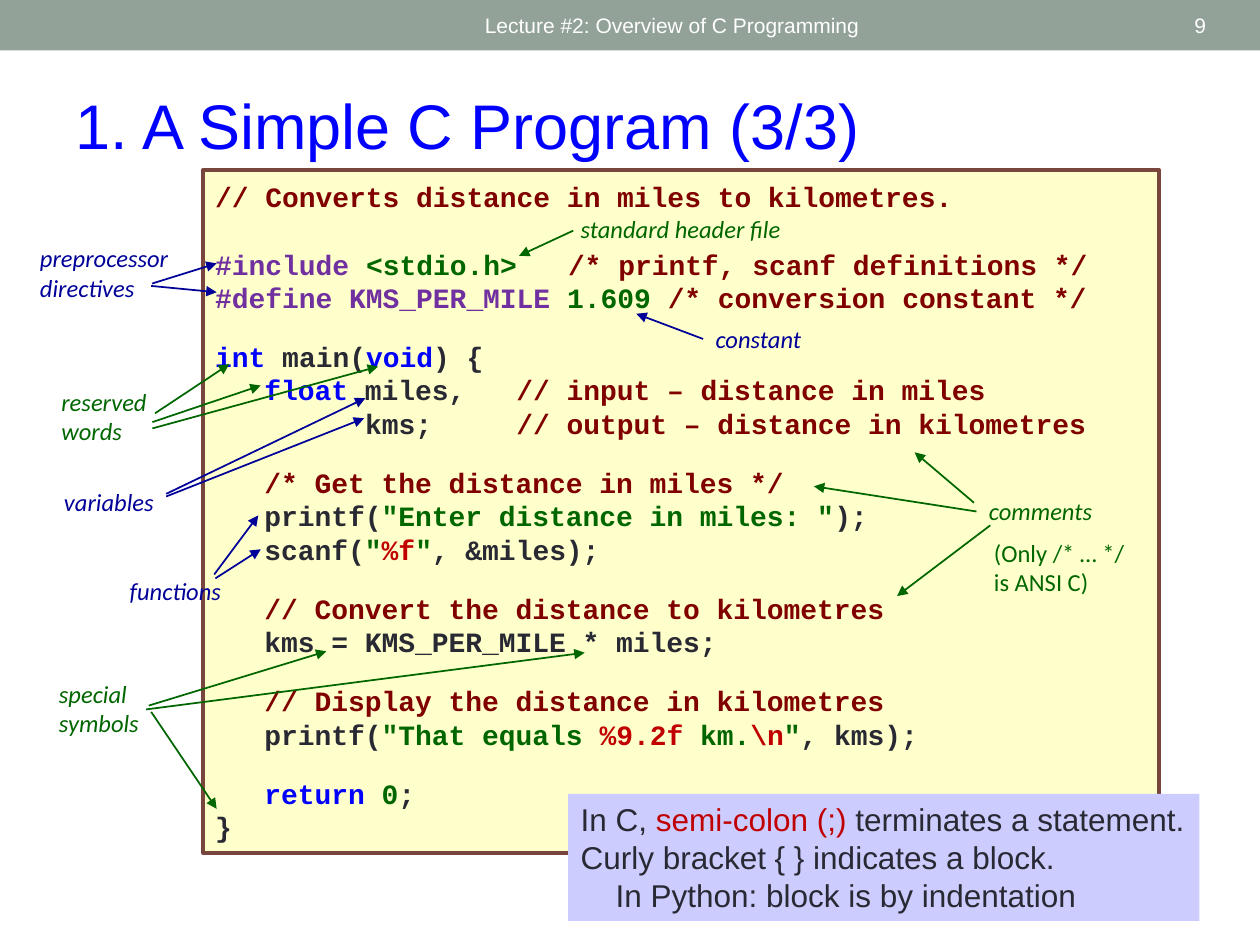
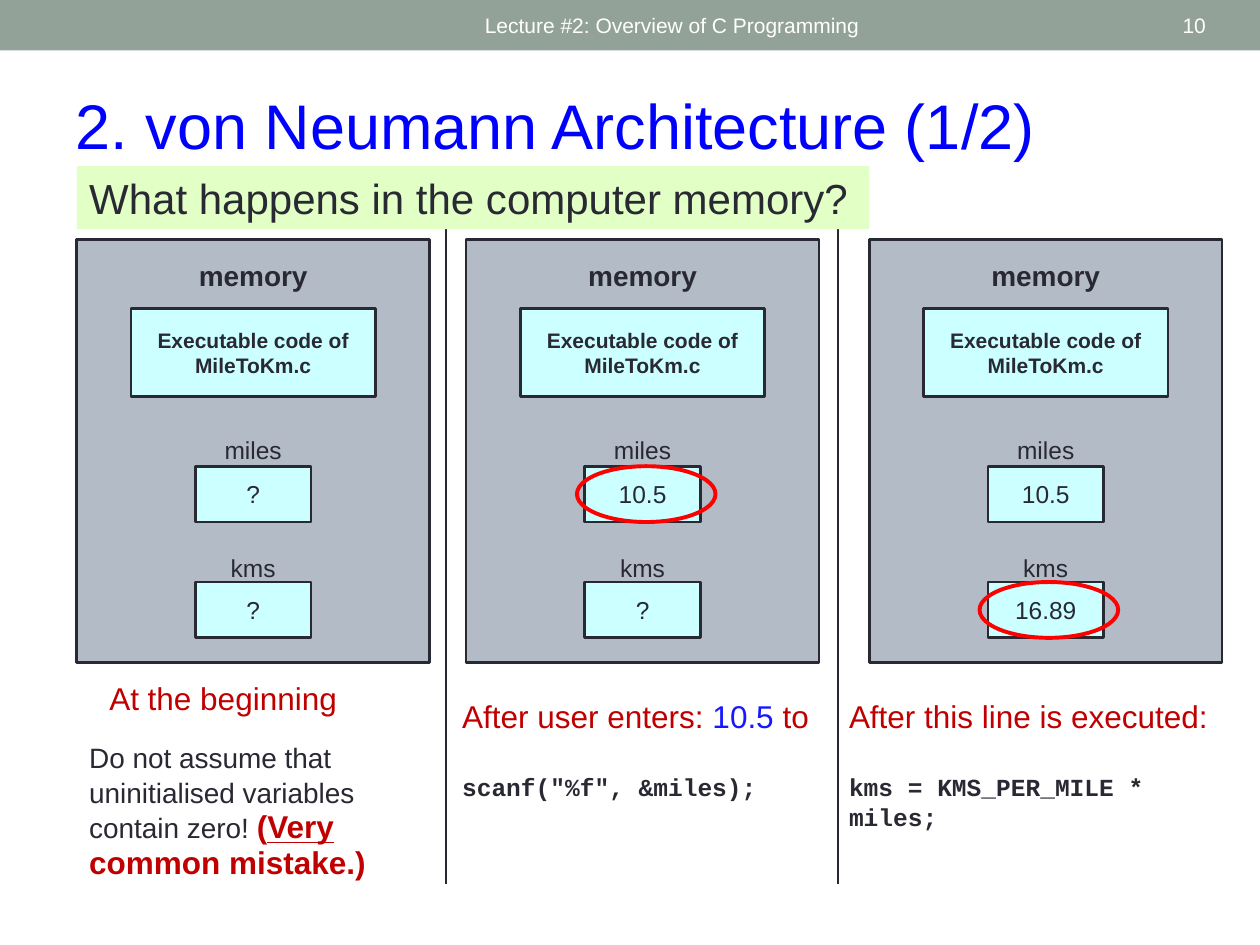
from lxml.etree import SubElement
from pptx import Presentation
from pptx.dml.color import RGBColor
from pptx.enum.shapes import MSO_CONNECTOR as Link, MSO_SHAPE as Form
from pptx.enum.text import MSO_ANCHOR as Anchor, MSO_AUTO_SIZE as Fit, PP_ALIGN as Align
from pptx.oxml.ns import qn
from pptx.util import Pt

# Shared colours and fonts
INK, WHITE, BAND = "292934", "FFFFFF", "93A299"
BLUE, NAVY, GREEN = "0000FF", "000099", "006600"
MAROON, RED, PURPLE = "800000", "C00000", "7030A0"
CYAN, GREY = "CCFFFF", "B3BBC6"
SANS, HAND, MONO = "Arial", "Calibri", "Courier New"
PITCH = 1.2  # line height as a multiple of the text size


def color(code):
    return RGBColor.from_string(code)


def write(box, paras, size, font=SANS, bold=False, italic=False,
          align=Align.LEFT, anchor=Anchor.TOP):
    """Fill a shape; each paragraph is a list of (text, colour) runs."""
    frame = box.text_frame
    frame.word_wrap = True
    frame.auto_size = Fit.NONE
    frame.vertical_anchor = anchor
    for i, runs in enumerate(paras):
        para = frame.add_paragraph() if i else frame.paragraphs[0]
        style(para, size, font, bold)
        para.font.italic = italic
        para.alignment = align
        for words, tint in runs:
            run = para.add_run()
            run.text = words
            run.font.color.rgb = color(tint)
    return frame.paragraphs


def style(para, size, font=SANS, bold=False):
    para.font.name, para.font.size, para.font.bold = font, Pt(size), bold
    para.line_spacing = Pt(size * PITCH)


def shape(slide, area, fill=None, line=None, width=1.5, form=Form.RECTANGLE):
    box = slide.shapes.add_shape(form, *map(Pt, area))
    box.shadow.inherit = False
    if fill:
        box.fill.solid()
        box.fill.fore_color.rgb = color(fill)
    else:
        box.fill.background()
    if line:
        box.line.color.rgb = color(line)
        box.line.width = Pt(width)
    else:
        box.line.fill.background()
    return box


def text(slide, area, paras, size, **look):
    box = slide.shapes.add_textbox(*map(Pt, area))
    return write(box, paras, size, **look)


def link(slide, ends, tint, arrow=False):
    wire = slide.shapes.add_connector(Link.STRAIGHT, *map(Pt, ends))
    wire.line.color.rgb = color(tint)
    wire.line.width = Pt(1)
    props = wire.line._get_or_add_ln()
    if arrow:
        SubElement(props, qn("a:tailEnd"), type="triangle")
    SubElement(props.getparent(), qn("a:effectLst"))


def indent(para, left):
    para._p.get_or_add_pPr().set("marL", str(Pt(left)))


def tabs(para, stops):
    props = para._p.get_or_add_pPr()
    group = SubElement(props, qn("a:tabLst"))
    for stop in stops:
        SubElement(group, qn("a:tab"), pos=str(Pt(stop)), algn="l")


def page(deck, title, number):
    """Start a slide with its band, footer, number and title."""
    slide = deck.slides.add_slide(deck.slide_layouts[5])
    shape(slide, (0, 0, 720, 28.8), BAND)
    text(slide, (270, 1.4, 324, 26), [[("Lecture #2: Overview of C Programming", WHITE)]],
         12, anchor=Anchor.MIDDLE)
    text(slide, (627.8, 1.4, 68.4, 26), [[(str(number), WHITE)]], 12,
         align=Align.RIGHT, anchor=Anchor.MIDDLE)
    head = slide.shapes.title
    head.left, head.top, head.width, head.height = map(Pt, (36, 46, 648, 51))
    write(head, [[(title, BLUE)]], 36)
    return slide


# Code listing: (gap before, as the size of a skipped line; runs)
CODE = [
    (0, [("// Converts distance in miles to kilometres.", MAROON)]),
    (16, [("#include ", PURPLE), ("<stdio.h>\t", GREEN),
          ("/* printf, scanf definitions */", MAROON)]),
    (0, [("#define KMS_PER_MILE ", PURPLE), ("1.609 ", GREEN),
         ("/* conversion constant */", MAROON)]),
    (12, [("int", BLUE), (" main(", INK), ("void", BLUE), (") {", INK)]),
    (0, [("\tfloat", BLUE), (" miles,\t", INK), ("// input – distance in miles", MAROON)]),
    (0, [("\t\tkms;\t", INK), ("// output – distance in kilometres", MAROON)]),
    (12, [("\t/* Get the distance in miles */", MAROON)]),
    (0, [("\tprintf(", INK), ('"Enter distance in miles: "', GREEN), (");", INK)]),
    (0, [("\tscanf(", INK), ('"', GREEN), ("%f", RED), ('"', GREEN), (", &miles);", INK)]),
    (12, [("\t// Convert the distance to kilometres", MAROON)]),
    (0, [("\tkms = KMS_PER_MILE * miles;", INK)]),
    (12, [("\t// Display the distance in kilometres", MAROON)]),
    (0, [("\tprintf(", INK), ('"That equals ', GREEN), ("%9.2f ", RED), ("km.", GREEN),
         ("\\n", RED), ('"', GREEN), (", kms);", INK)]),
    (12, [("\treturn ", BLUE), ("0", GREEN), (";", INK)]),
    (0, [("}", INK)]),
]

# Callouts: words, colour, (left, top, width, height), arrows
NOTES = [
    ("preprocessor directives", NAVY, (15.8, 135.4, 96.5, 41),
     [(87, 162, 123.8, 150.5), (86.4, 163.4, 123.8, 167)]),
    ("standard header file", GREEN, (324.7, 118.8, 137.5, 25),
     [(327.6, 131.8, 296.6, 146.2)]),
    ("comments", GREEN, (558, 280, 78, 25),
     [(556.6, 287.3, 522.7, 258.5), (558, 292.3, 465.1, 277.9),
      (565.9, 300.2, 512.6, 340.6)]),
    ("constant", NAVY, (401.8, 181.4, 78, 25), [(401.8, 193.7, 363.6, 179.3)]),
    ("reserved words", GREEN, (28, 217.4, 78, 41),
     [(88.6, 236.2, 131, 208.1), (87.1, 244.8, 216, 209.5),
      (87.1, 241.2, 149, 220.3)]),
    ("variables", NAVY, (29.5, 275, 78, 25),
     [(95, 282.2, 208.8, 227.5), (95, 283.7, 208.1, 239)]),
    ("functions", NAVY, (67, 325.4, 74, 25),
     [(122.4, 328.3, 147.6, 294.5), (123.1, 330.5, 149, 313.9)]),
    ("special symbols", GREEN, (26.6, 384.5, 70, 41),
     [(85, 403.2, 186.5, 372.2), (83.5, 405.4, 334.1, 373),
      (86.4, 406.8, 123.8, 462.2)]),
]


def program(deck):
    slide = page(deck, "1. A Simple C Program (3/3)", 9)
    box = shape(slide, (115.9, 97.2, 546.5, 390.2), "FFFFCC", "79463D", 2.08)
    lines = write(box, [runs for gap, runs in CODE], 16, MONO, bold=True,
                  anchor=Anchor.MIDDLE)
    for para, (gap, runs) in zip(lines, CODE):
        para.space_before = Pt(gap * PITCH)
        tabs(para, (28.1, 85.7, 172.1, 201.6))

    # Callouts
    for words, tint, area, arrows in NOTES:
        text(slide, area, [[(words, tint)]], 14, font=HAND, italic=True)
        for ends in arrows:
            link(slide, ends, tint, arrow=True)

    # Syntax remarks
    box = shape(slide, (324.7, 453.6, 360.7, 72.7), "CCCCFF")
    box.text_frame.margin_right = 0
    lines = write(box, [
        [("In C, ", INK), ("semi-colon (;)", RED), (" terminates a statement.", INK)],
        [("Curly bracket { } indicates a block.", INK)],
        [("In Python: block is by indentation", INK)]], 18)
    indent(lines[2], 20)
    text(slide, (560.9, 303.8, 92.2, 41), [[("(Only /* … */ is ANSI C)", GREEN)]],
         14, font=HAND)


def memory(slide, left, values):
    """Draw a memory panel with its code block and two variables."""
    wide = 201.6

    def cell(top, width, height, words, size, bold=False):
        area = (left + (wide - width) / 2, top, width, height)
        write(shape(slide, area, CYAN, INK), [[(words, INK)]], size, bold=bold,
              align=Align.CENTER, anchor=Anchor.MIDDLE)

    shape(slide, (left, 136.8, wide, 241.9), GREY, INK)
    text(slide, (left, 144, wide, 26.6), [[("memory", INK)]], 16, bold=True,
         align=Align.CENTER)
    cell(176.4, 139.7, 50.4, "Executable code of MileToKm.c", 12, True)
    for name, value, label, top in zip(("miles", "kms"), values,
                                       (244.8, 312.5), (266.4, 332.6)):
        cell(top, 66.2, 31.9, value, 14)
        text(slide, (left, label, wide, 24.5), [[(name, INK)]], 14, align=Align.CENTER)


def caption(slide, left, width, head, code):
    lines = text(slide, (left, 394.6, width, 70), [head, [(code, INK)]], 18)
    style(lines[1], 14, MONO, True)
    lines[1].space_before = Pt(18 * PITCH)


def stages(deck):
    slide = page(deck, "2. von Neumann Architecture (1/2)", 10)
    panels = ((43.9, ("?", "?")), (266.4, ("10.5", "?")), (496.8, ("10.5", "16.89")))
    for left, values in panels:
        memory(slide, left, values)

    # Changed values
    for left, top in ((329.7, 266.4), (559.8, 332.6)):
        shape(slide, (left, top, 79.2, 31.9), None, "FF0000", 2.25, Form.OVAL)

    # Stage captions
    text(slide, (55.4, 384.5, 150, 28.8), [[("At the beginning", RED)]], 18)
    caption(slide, 257, 226, [("After user enters: ", RED), ("10.5 ", "1818FF"), ("to", RED)],
            'scanf("%f", &miles);')
    caption(slide, 478.1, 238, [("After this line is executed:", RED)],
            "kms = KMS_PER_MILE * miles;")

    # Warning
    para = text(slide, (43.9, 418.3, 184.3, 90), [[
        ("Do not assume that uninitialised variables contain zero! ", INK),
        ("(", RED), ("Very", RED), (" common mistake.)", RED)]], 16)[0]
    para.line_spacing = Pt(20.4)
    for run in para.runs[1:]:
        run.font.size, run.font.bold = Pt(18), True
    para.runs[2].font.underline = True

    # Dividers and question
    for x in (254.9, 478.8):
        link(slide, (x, 126.7, x, 505.4), INK)
    write(shape(slide, (43.9, 95, 452.9, 36), "E2FFC5"),
          [[("What happens in the computer memory?", INK)]], 24)


def main():
    deck = Presentation()
    deck.slide_width, deck.slide_height = Pt(720), Pt(540)
    program(deck)
    stages(deck)
    deck.save("out.pptx")


if __name__ == "__main__":
    main()
